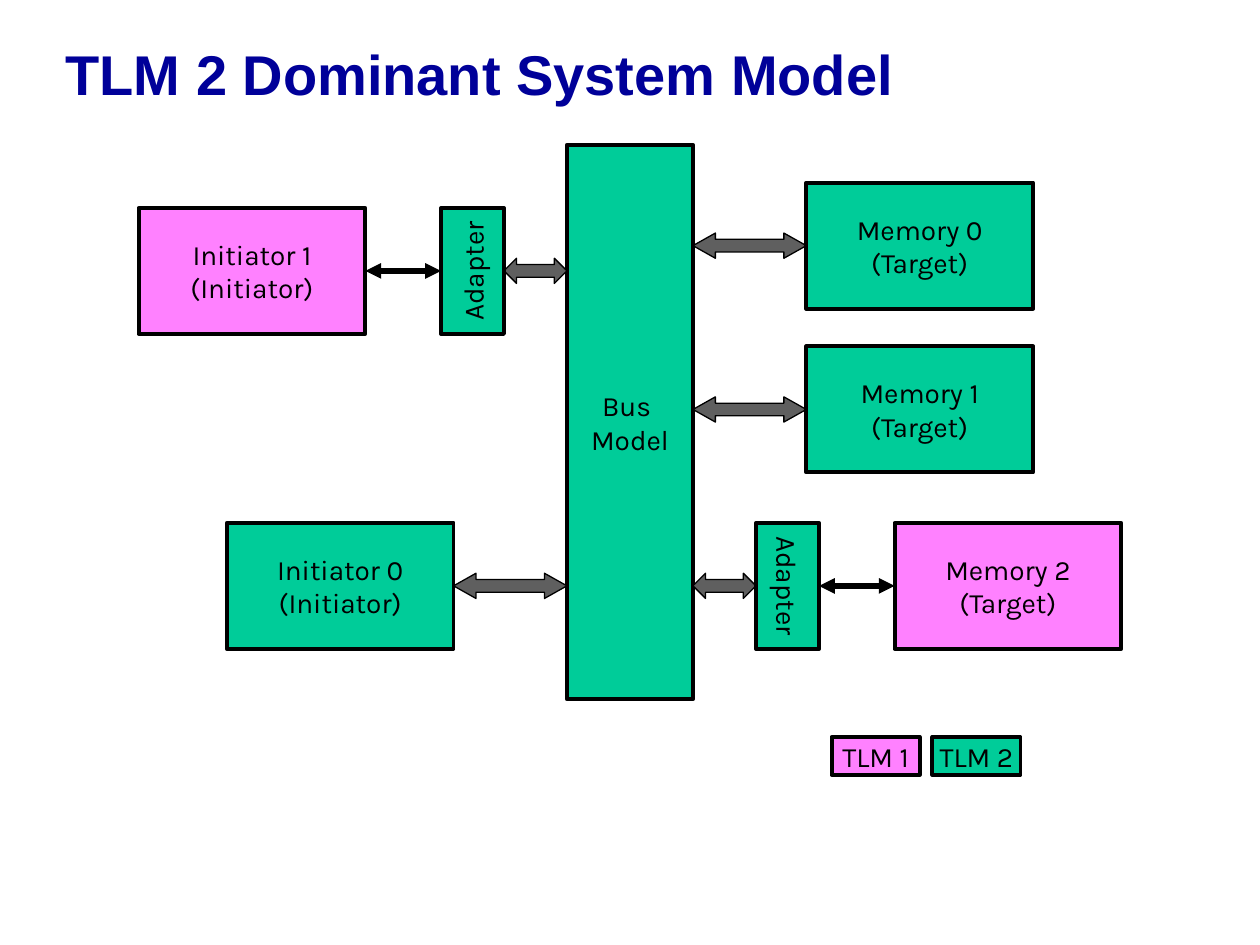
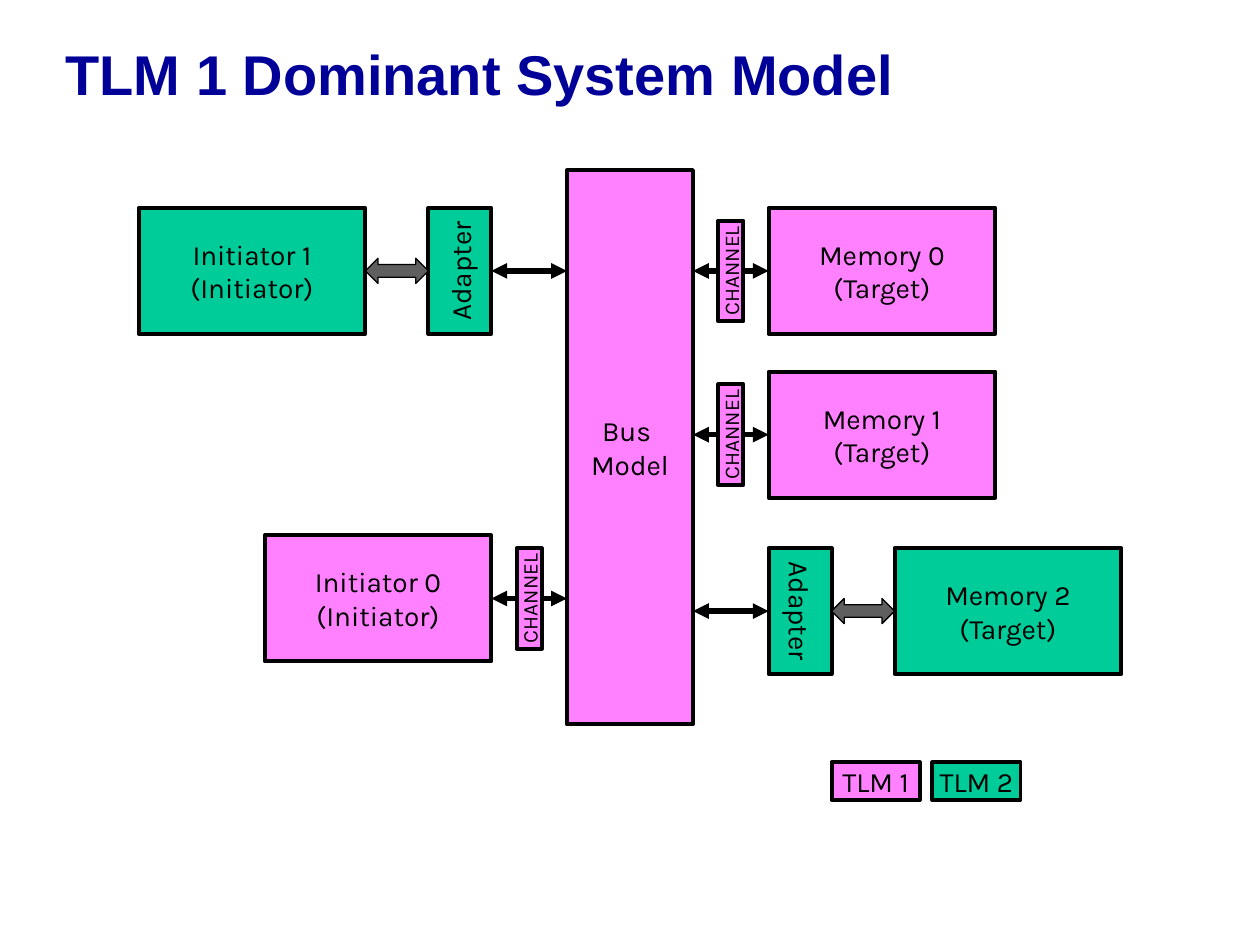
"""Build two block diagrams of mixed TLM 1 and TLM 2 system models."""
from dataclasses import dataclass

from lxml.etree import SubElement
from pptx import Presentation
from pptx.dml.color import RGBColor as RGB
from pptx.enum.shapes import MSO_CONNECTOR as LINK, MSO_SHAPE as FORM
from pptx.enum.text import MSO_ANCHOR as ANCHOR, MSO_AUTO_SIZE as FIT, PP_ALIGN as ALIGN
from pptx.oxml.ns import qn
from pptx.util import Pt


@dataclass(frozen=True)
class Theme:
    """Colours, fonts, type sizes and line widths."""
    tlm1: str = "FF81FF"
    tlm2: str = "00CC99"
    arrow: str = "5F5F5F"
    ink: str = "000000"
    title: str = "000099"
    head: str = "Arial"
    body: str = "Karla"
    big: int = 32
    text: int = 16
    small: int = 12
    edge: float = 2.25
    thin: float = 0.75
    wire: float = 3


T = Theme()

MODELS = [
    {"title": "TLM 2 Dominant System Model", "top": 82.8, "fill": T.tlm2, "rows": [
        ("left", 72, ["short", "Adapter", "wire", ("Initiator 1\n(Initiator)", T.tlm1)]),
        ("left", 252, ["wide", ("Initiator 0\n(Initiator)", T.tlm2)]),
        ("right", 57.6, ["wide", ("Memory 0\n(Target)", T.tlm2)]),
        ("right", 151.2, ["wide", ("Memory 1\n(Target)", T.tlm2)]),
        ("right", 252, ["short", "Adapter", "wire", ("Memory 2\n(Target)", T.tlm1)]),
    ]},
    {"title": "TLM 1 Dominant System Model", "top": 97.2, "fill": T.tlm1, "rows": [
        ("left", 57.6, ["wire", "Adapter", "short", ("Initiator 1\n(Initiator)", T.tlm2)]),
        ("left", 244.8, ["channel", ("Initiator 0\n(Initiator)", T.tlm1)]),
        ("right", 57.6, ["channel", ("Memory 0\n(Target)", T.tlm1)]),
        ("right", 151.2, ["channel", ("Memory 1\n(Target)", T.tlm1)]),
        ("right", 252, ["wire", "Adapter", "short", ("Memory 2\n(Target)", T.tlm2)]),
    ]},
]
LEGEND = [("TLM 1", T.tlm1), ("TLM 2", T.tlm2)]

BUS_X, BUS_W, BUS_H = 324, 72, 316.8
UNIT_W, UNIT_H = 129.6, 72
SPAN = {"wide": 64.8, "short": 36, "wire": 43.2, "channel": 43.2, "Adapter": 36}
HEAD = {"wide": 0.89, "short": 0.5}
CHAN_W, CHAN_H = 14.4, 57.6
ARROW_H = 14.4
KEY_X, KEY_W, KEY_H, KEY_STEP, KEY_DROP = 475.2, 50.4, 21.6, 57.6, 338.4


def shape(shapes, form, mid, y, w, h, fill, edge):
    """Add a flat outlined shape centred on a point."""
    box = shapes.add_shape(form, Pt(mid - w / 2), Pt(y - h / 2), Pt(w), Pt(h))
    box.shadow.inherit = False
    box.fill.solid()
    box.fill.fore_color.rgb = RGB.from_string(fill)
    box.line.color.rgb = RGB.from_string(T.ink)
    box.line.width = Pt(edge)
    return box


def style(part, face, size, color, bold=False):
    """Format the font of a paragraph's runs."""
    for run in part.runs:
        font = run.font
        font.name, font.size, font.bold = face, Pt(size), bold
        font.color.rgb = RGB.from_string(color)


def block(shapes, text, mid, y, w, h, fill, size=T.text, turn=0):
    """Add a labelled box; a turned box swaps its sides."""
    if turn:
        w, h = h, w
    box = shape(shapes, FORM.RECTANGLE, mid, y, w, h, fill, T.edge)
    box.rotation = turn
    frame = box.text_frame
    frame.text = text
    frame.word_wrap = False
    frame.vertical_anchor = ANCHOR.MIDDLE
    for part in frame.paragraphs:
        part.alignment = ALIGN.CENTER
        style(part, T.body, size, T.ink)


def wire(shapes, mid, y, w):
    """Add a line with an arrowhead at each end."""
    line = shapes.add_connector(LINK.STRAIGHT, Pt(mid - w / 2), Pt(y), Pt(mid + w / 2), Pt(y))
    line.line.color.rgb = RGB.from_string(T.ink)
    line.line.width = Pt(T.wire)
    for end in ("a:headEnd", "a:tailEnd"):
        SubElement(line.line._get_or_add_ln(), qn(end), type="triangle")
    SubElement(line._element.spPr, qn("a:effectLst"))


def chain(shapes, side, y, parts):
    """Lay the parts of a row end to end, outward from the bus."""
    way = -1 if side == "left" else 1
    x = BUS_X if side == "left" else BUS_X + BUS_W
    for part in parts:
        w = SPAN.get(part, UNIT_W)
        mid = x + way * w / 2
        if part in HEAD:
            arrow = shape(shapes, FORM.LEFT_RIGHT_ARROW, mid, y, w, ARROW_H, T.arrow, T.thin)
            arrow.adjustments[1] = HEAD[part]
        elif part == "wire":
            wire(shapes, mid, y, w)
        elif part == "channel":
            group = shapes.add_group_shape().shapes
            wire(group, mid, y, w)
            block(group, "CHANNEL", mid, y, CHAN_W, CHAN_H, T.tlm1, T.small, 270)
        elif part == "Adapter":
            block(shapes, part, mid, y, w, UNIT_H, T.tlm2, turn=270 if way < 0 else 90)
        else:
            text, fill = part
            block(shapes, text, mid, y, w, UNIT_H, fill)
        x += way * w


def heading(slide, text):
    """Place and format the slide title."""
    title = slide.shapes.title
    title.left, title.top, title.width, title.height = Pt(30.24), Pt(0), Pt(684), Pt(90)
    frame = title.text_frame
    frame.text = text
    frame.auto_size = FIT.NONE
    frame.vertical_anchor = ANCHOR.MIDDLE
    part = frame.paragraphs[0]
    part.alignment = ALIGN.LEFT
    part.line_spacing = 0.85
    style(part, T.head, T.big, T.title, True)


def draw(deck, model):
    """Draw one system model on a new slide."""
    slide = deck.slides.add_slide(deck.slide_layouts.get_by_name("Title Only"))
    shapes, top = slide.shapes, model["top"]
    heading(slide, model["title"])
    block(shapes, "Bus \nModel", BUS_X + BUS_W / 2, top + BUS_H / 2, BUS_W, BUS_H, model["fill"])
    for side, drop, parts in model["rows"]:
        chain(shapes, side, top + drop, parts)
    for i, (text, fill) in enumerate(LEGEND):
        mid = KEY_X + i * KEY_STEP + KEY_W / 2
        block(shapes, text, mid, top + KEY_DROP + KEY_H / 2, KEY_W, KEY_H, fill)


def main():
    """Build and save the deck."""
    deck = Presentation()
    deck.slide_width, deck.slide_height = Pt(720), Pt(540)
    for model in MODELS:
        draw(deck, model)
    deck.save("out.pptx")


if __name__ == "__main__":
    main()
